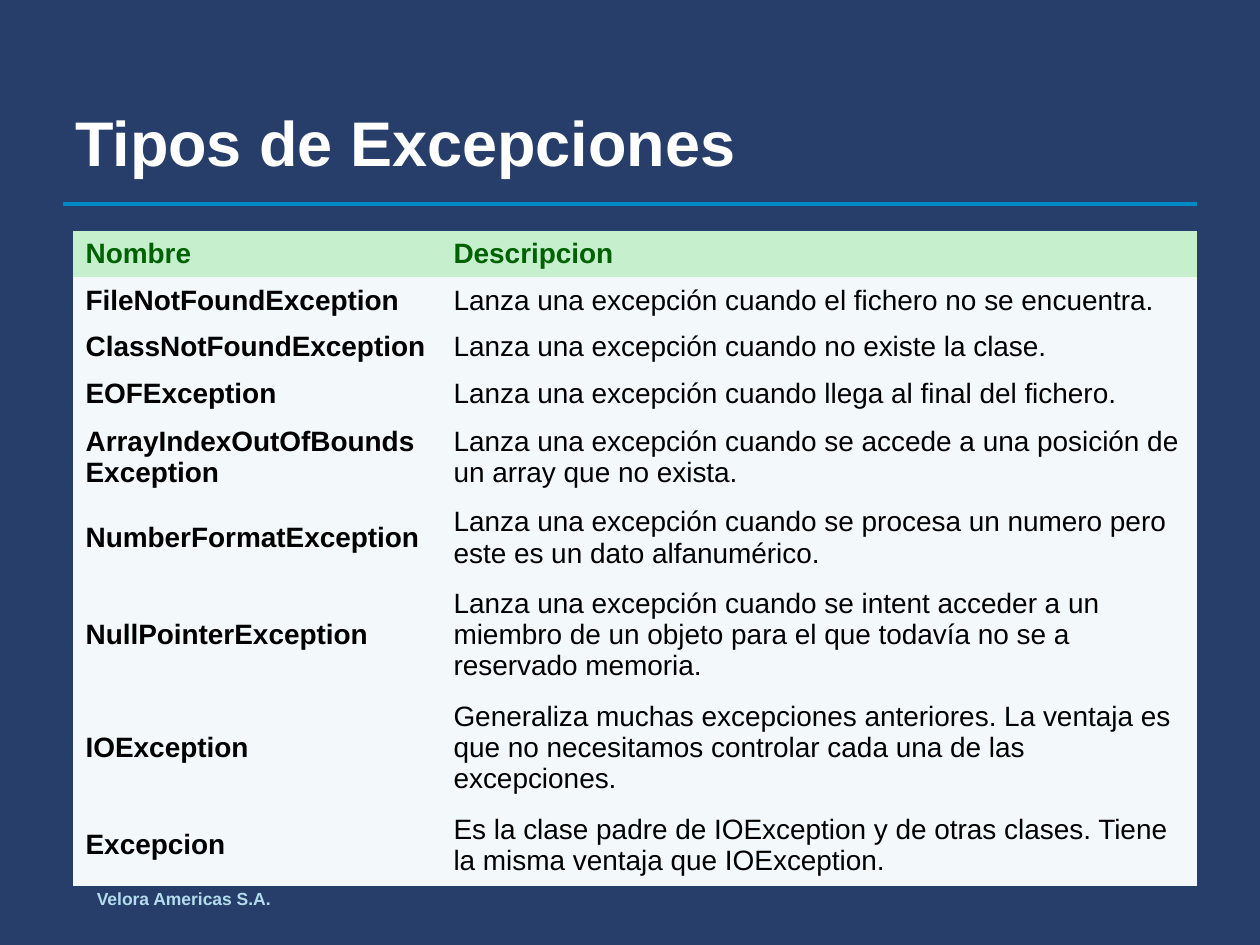
from pptx import Presentation
from pptx.dml.color import RGBColor
from pptx.enum.shapes import MSO_CONNECTOR
from pptx.enum.text import MSO_ANCHOR
from pptx.oxml.ns import qn
from pptx.util import Inches, Pt
from lxml import etree

MIDDLE = MSO_ANCHOR.MIDDLE
TOP = MSO_ANCHOR.TOP
STRAIGHT = MSO_CONNECTOR.STRAIGHT
NO_STYLE_NO_GRID = "{2D5ABB26-0587-4C30-8999-92F81FD0307C}"
LINE_COUNT_HEIGHTS = {1: 0.37, 2: 0.64, 3: 0.9}


def rgb(value):
    return RGBColor.from_string(value)


def write(frame, text, size, color, bold):
    frame.word_wrap = True
    frame.text = text
    font = frame.paragraphs[0].font
    font.name = "Arial"
    font.size = Pt(size)
    font.bold = bold
    font.color.rgb = rgb(color)


prs = Presentation()
prs.slide_width = Inches(10)
prs.slide_height = Inches(7.5)
slide = prs.slides.add_slide(prs.slide_layouts[6])
slide.background.fill.solid()
slide.background.fill.fore_color.rgb = rgb("283E6A")

rule = slide.shapes.add_connector(STRAIGHT, Inches(0.5), Inches(1.62), Inches(9.5), Inches(1.62))
rule.line.color.rgb = rgb("0089C4")
rule.line.width = Pt(2.25)
etree.SubElement(rule._element.spPr, qn("a:effectLst"))

for text, left, top, width, height, size, color, anchor in [
    ("Velora Americas S.A.", 0.67, 7, 5.92, 0.35, 10, "B3DCED", TOP),
    ("Tipos de Excepciones", 0.5, 0.5, 9, 1.25, 36, "FFFFFF", MIDDLE),
]:
    box = slide.shapes.add_textbox(Inches(left), Inches(top), Inches(width), Inches(height))
    box.text_frame.vertical_anchor = anchor
    write(box.text_frame, text, size, color, True)

exceptions = [
    ("Nombre", "Descripcion", 1),
    ("FileNotFoundException", "Lanza una excepción cuando el fichero no se encuentra.", 1),
    ("ClassNotFoundException", "Lanza una excepción cuando no existe la clase.", 1),
    ("EOFException", "Lanza una excepción cuando llega al final del fichero.", 1),
    ("ArrayIndexOutOfBoundsException",
     "Lanza una excepción cuando se accede a una posición de un array que no exista.", 2),
    ("NumberFormatException",
     "Lanza una excepción cuando se procesa un numero pero este es un dato alfanumérico.", 2),
    ("NullPointerException",
     "Lanza una excepción cuando se intent acceder a un miembro de un objeto "
     "para el que todavía no se a reservado memoria.", 3),
    ("IOException",
     "Generaliza muchas excepciones anteriores. La ventaja es que no necesitamos "
     "controlar cada una de las excepciones.", 3),
    ("Excepcion",
     "Es la clase padre de IOException y de otras clases. "
     "Tiene la misma ventaja que IOException.", 2),
]

table = slide.shapes.add_table(
    len(exceptions), 2, Inches(0.58), Inches(1.83), Inches(8.92), Inches(5.17)).table
table._tbl.tblPr.find(qn("a:tableStyleId")).text = NO_STYLE_NO_GRID
table.horz_banding = False
table.columns[0].width = Inches(2.92)
table.columns[1].width = Inches(6)

for row, (name, description, line_count) in enumerate(exceptions):
    table.rows[row].height = Inches(LINE_COUNT_HEIGHTS[line_count])
    is_header = row == 0
    for column, text in enumerate((name, description)):
        cell = table.cell(row, column)
        cell.vertical_anchor = MIDDLE
        cell.fill.solid()
        cell.fill.fore_color.rgb = rgb("C6EFCE" if is_header else "F3F9FA")
        write(cell.text_frame, text, 16, "006100" if is_header else "000000",
              is_header or column == 0)

prs.save("out.pptx")
